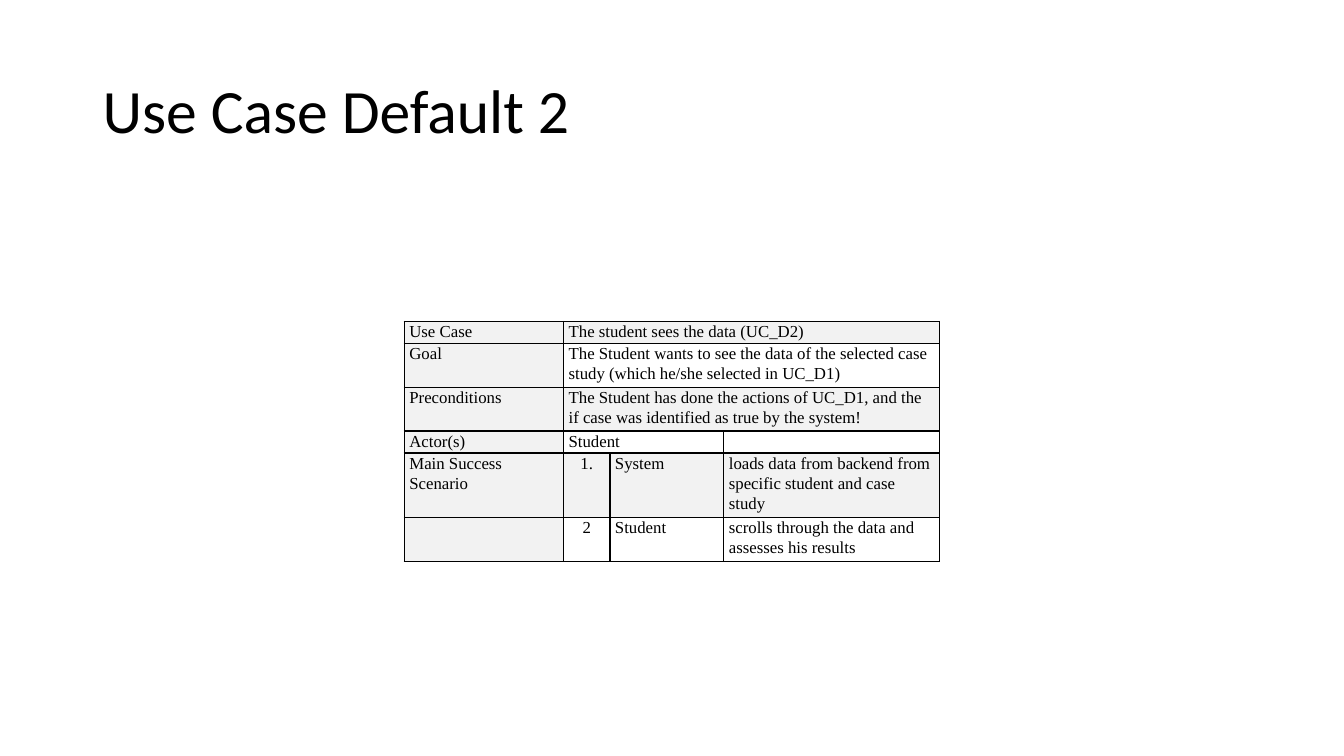
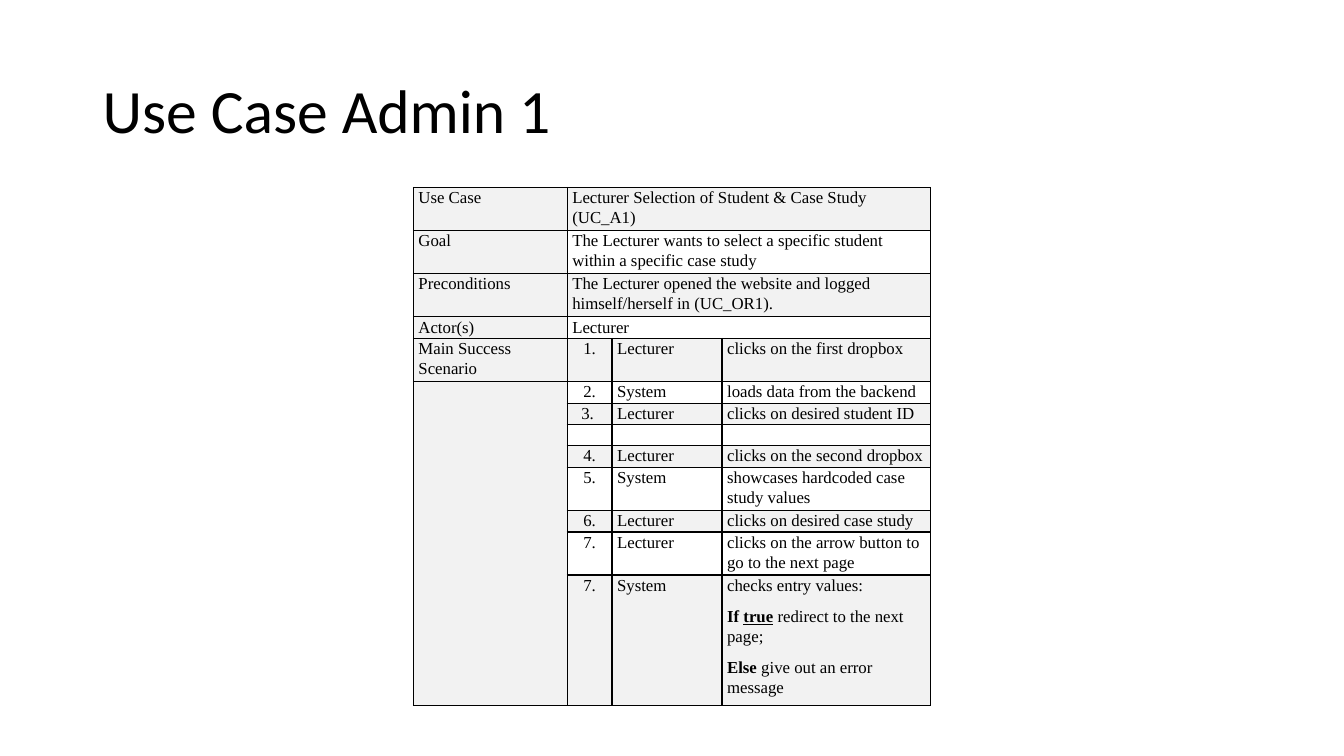
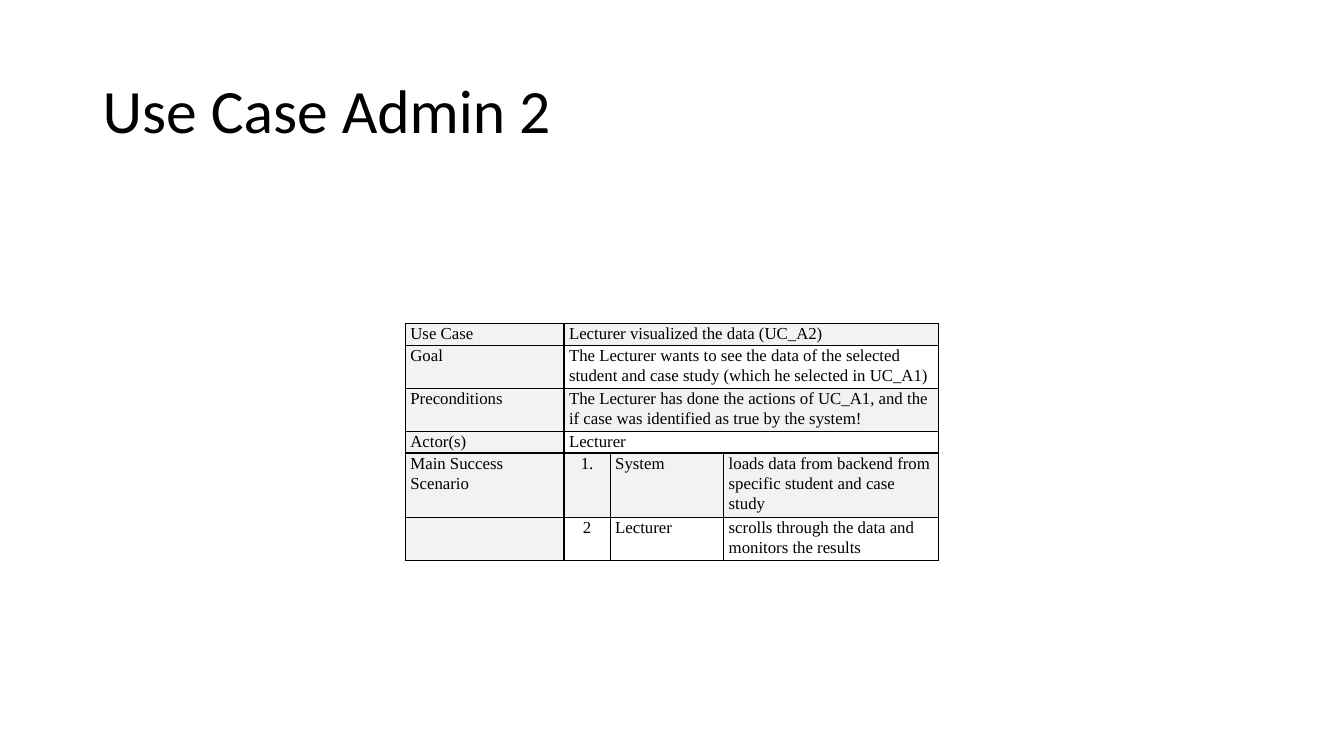
import dataclasses

import lxml.etree
import pptx
import pptx.dml.color
import pptx.enum.text
import pptx.oxml.ns
import pptx.util

Pt = pptx.util.Pt
Color = pptx.dml.color.RGBColor.from_string
Align = pptx.enum.text.PP_ALIGN
Anchor = pptx.enum.text.MSO_ANCHOR
qn = pptx.oxml.ns.qn
sub = lxml.etree.SubElement


@dataclasses.dataclass(frozen=True)
class Theme:
    ink: str = "000000"
    grey: str = "F2F2F2"
    white: str = "FFFFFF"
    head: str = "Calibri"
    body: str = "Times New Roman"
    large: int = 44
    small: int = 12
    rule: int = 1
    plain: str = "{2D5ABB26-0587-4C30-8999-92F81FD0307C}"  # no style, no grid


# Title box and margins; boxes are percent of the slide's size
TITLE = (6.9, 5.33, 86.25, 19.33)
HEAD = {"line_spacing": 0.9}
BODY = {"line_spacing": 1.07, "space_after": Pt(8)}
INSET = {"margin_left": pptx.util.Inches(0.05), "margin_right": pptx.util.Inches(0.05),
         "margin_top": 0, "margin_bottom": 0}
COLS = (158, 46, 113, 214)  # relative widths
SIDES = {"L": "a:lnL", "R": "a:lnR", "T": "a:lnT", "B": "a:lnB"}
NAMES = ("Use Case", "Goal", "Preconditions", "Actor(s)", "Main Success Scenario")
FIRST = len(NAMES) - 1  # row of the first step


def put(thing, vals):
    for name, val in vals.items():
        setattr(thing, name, val)


class Deck:
    def __init__(self, theme):
        self.theme = theme
        self.show = pptx.Presentation()
        put(self.show, {"slide_width": pptx.util.Inches(13.33),
                        "slide_height": pptx.util.Inches(7.5)})
        self.slide = None

    def x(self, share):
        return round(self.show.slide_width * share / 100)

    def y(self, share):
        return round(self.show.slide_height * share / 100)

    def text(self, para, runs, face, size, form):
        put(para, form)
        for words, extra in runs:
            run = para.add_run()
            run.text = words
            put(run.font, {"name": face, "size": Pt(size), **extra})
            run.font.color.rgb = Color(self.theme.ink)
        if not runs:
            end = sub(para._p, qn("a:endParaRPr"), sz=str(size * 100))
            sub(end, qn("a:latin"), typeface=face)

    def page(self, title):
        self.slide = self.show.slides.add_slide(self.show.slide_layouts[6])
        left, top, wide, high = TITLE
        box = self.slide.shapes.add_textbox(self.x(left), self.y(top), self.x(wide), self.y(high))
        put(box.text_frame, {"word_wrap": True, "vertical_anchor": Anchor.MIDDLE})
        self.text(box.text_frame.paragraphs[0], [(title, {})],
                  self.theme.head, self.theme.large, HEAD)

    def edge(self, cell, sides):
        props = cell._tc.get_or_add_tcPr()
        for side, tag in SIDES.items():
            if side in sides:
                line = sub(props, qn(tag), w=str(int(Pt(self.theme.rule))))
                fill = sub(line, qn("a:solidFill"))
                sub(fill, qn("a:srgbClr"), val=self.theme.ink)

    def cell(self, cell, text, sides, fill, align):
        """Text is a string, or a tuple of paragraphs made of (text, format) runs."""
        put(cell, INSET)
        self.edge(cell, sides)
        cell.fill.solid()
        cell.fill.fore_color.rgb = Color(fill)
        paras = ([(text, {})] if text else [],) if isinstance(text, str) else text
        frame = cell.text_frame
        for num, runs in enumerate(paras):
            para = frame.add_paragraph() if num else frame.paragraphs[0]
            self.text(para, runs, self.theme.body, self.theme.small,
                      {**BODY, "alignment": align})

    def table(self, top, wide, line, lines, facts, steps):
        """Centred use case table; a row is as high as its count of text lines."""
        names = NAMES + ("",) * (len(steps) - 1)
        rows = [(name, *rest) for name, rest in zip(names, facts + steps)]
        frame = self.slide.shapes.add_table(
            len(rows), len(COLS), self.x((100 - wide) / 2), self.y(top),
            self.x(wide), self.y(line * sum(lines)))
        grid = frame.table
        put(grid, {"first_row": False, "horz_banding": False})
        grid._tbl.tblPr.find(qn("a:tableStyleId")).text = self.theme.plain
        for col, part in zip(grid.columns, COLS):
            col.width = self.x(wide * part / sum(COLS))
        for row, count in zip(grid.rows, lines):
            row.height = self.y(line * count)
        for r, row in enumerate(rows):
            span = len(COLS) + 1 - len(row)  # columns taken by the second cell
            texts = row[:2] + ("",) * (span - 1) + row[2:]
            for c, text in enumerate(texts):
                sides = set(SIDES)
                if c == 0 and r > FIRST:
                    sides.discard("T")
                if c == 0 and FIRST <= r < len(rows) - 1:
                    sides.discard("B")
                fill = self.theme.white if c and r % 2 else self.theme.grey
                align = Align.CENTER if c == 1 and span == 1 else Align.LEFT
                self.cell(grid.cell(r, c), text, sides, fill, align)
            if span > 1:
                grid.cell(r, 1).merge(grid.cell(r, span))


BOLD = {"bold": True}
CHECK = (
    [("checks entry values:", {})],
    [("If ", BOLD), ("true", {**BOLD, "underline": True}), (" redirect to the next page;", {})],
    [("Else", BOLD), (" give out an error message", {})],
)
LOAD = ("1.", "System", "loads data from backend from specific student and case study")
SHORT = (1, 2, 2, 1, 2, 2)

PAGES = (
    ("Use Case Default 2", (42.53, 39.83, 2.9, SHORT), (
        ("The student sees the data (UC_D2)",),
        ("The Student wants to see the data of the selected case study "
         "(which he/she selected in UC_D1)",),
        ("The Student has done the actions of UC_D1, and the if case was identified "
         "as true by the system!",),
        ("Student", ""),
    ), (
        LOAD,
        ("2", "Student", "scrolls through the data and assesses his results"),
    )),
    ("Use Case Admin 1", (24.8, 38.48, 2.76, (1, 2, 2, 1, 2, 1, 1, 1, 1, 2, 1, 2, 6)), (
        ("Lecturer Selection of Student & Case Study (UC_A1)",),
        ("The Lecturer wants to select a specific student within a specific case study",),
        ("The Lecturer opened the website and logged himself/herself in (UC_OR1).",),
        ("Lecturer",),
    ), (
        ("1.", "Lecturer", "clicks on the first dropbox"),
        ("2.", "System", "loads data from the backend"),
        ("3. ", "Lecturer", "clicks on desired student ID"),
        ("", "", ""),
        ("4.", "Lecturer", "clicks on the second dropbox"),
        ("5.", "System", "showcases hardcoded case study values"),
        ("6.", "Lecturer", "clicks on desired case study"),
        ("7.", "Lecturer", "clicks on the arrow button to go to the next page"),
        ("7.", "System", CHECK),
    )),
    ("Use Case Admin 2", (42.8, 39.68, 2.85, SHORT), (
        ("Lecturer visualized the data (UC_A2)",),
        ("The Lecturer wants to see the data of the selected student and case study "
         "(which he selected in UC_A1)",),
        ("The Lecturer has done the actions of UC_A1, and the if case was identified "
         "as true by the system!",),
        ("Lecturer",),
    ), (
        LOAD,
        ("2", "Lecturer", "scrolls through the data and monitors the results"),
    )),
)


def main():
    deck = Deck(Theme())
    for title, place, facts, steps in PAGES:
        deck.page(title)
        deck.table(*place, facts, steps)
    deck.show.save("out.pptx")


if __name__ == "__main__":
    main()
